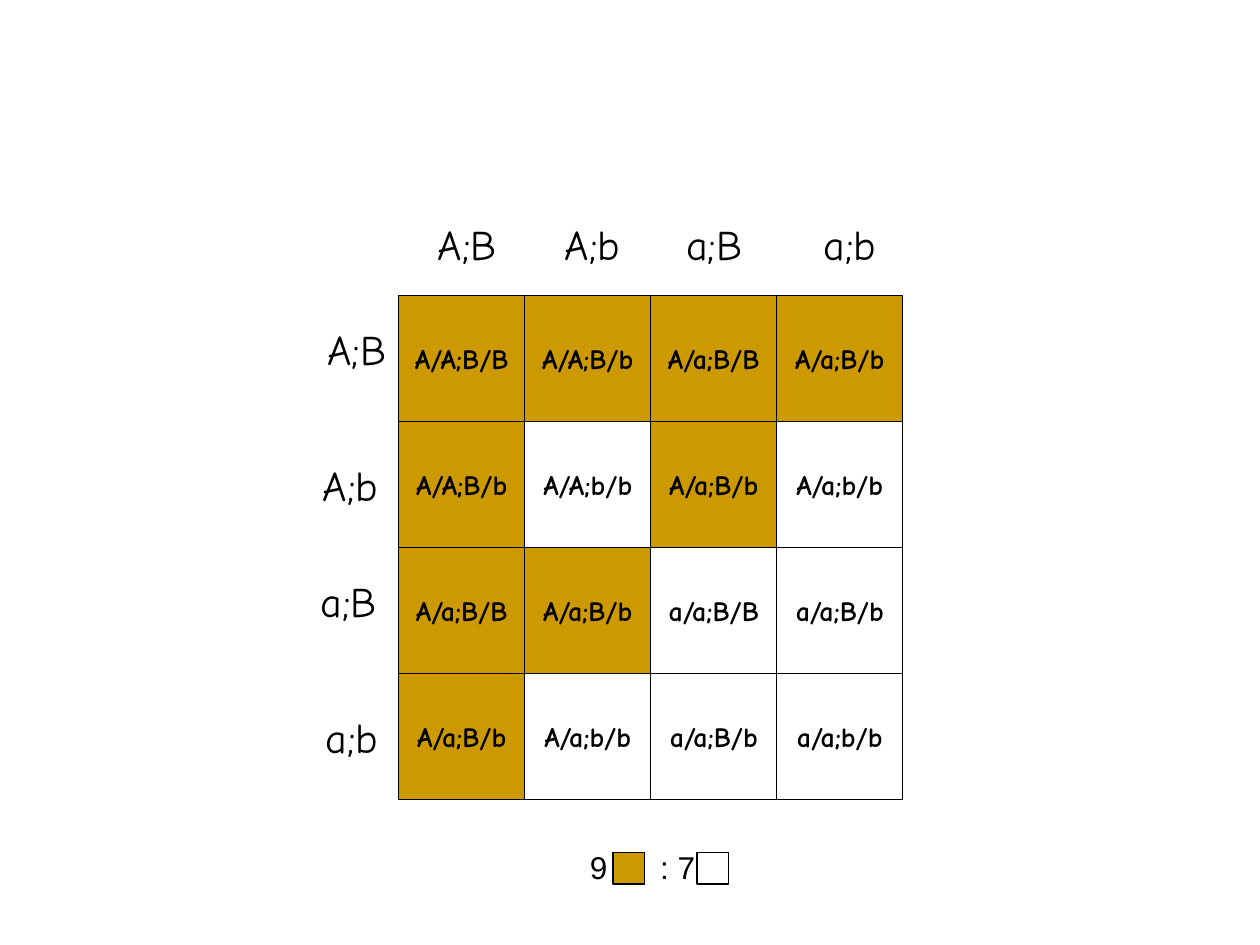
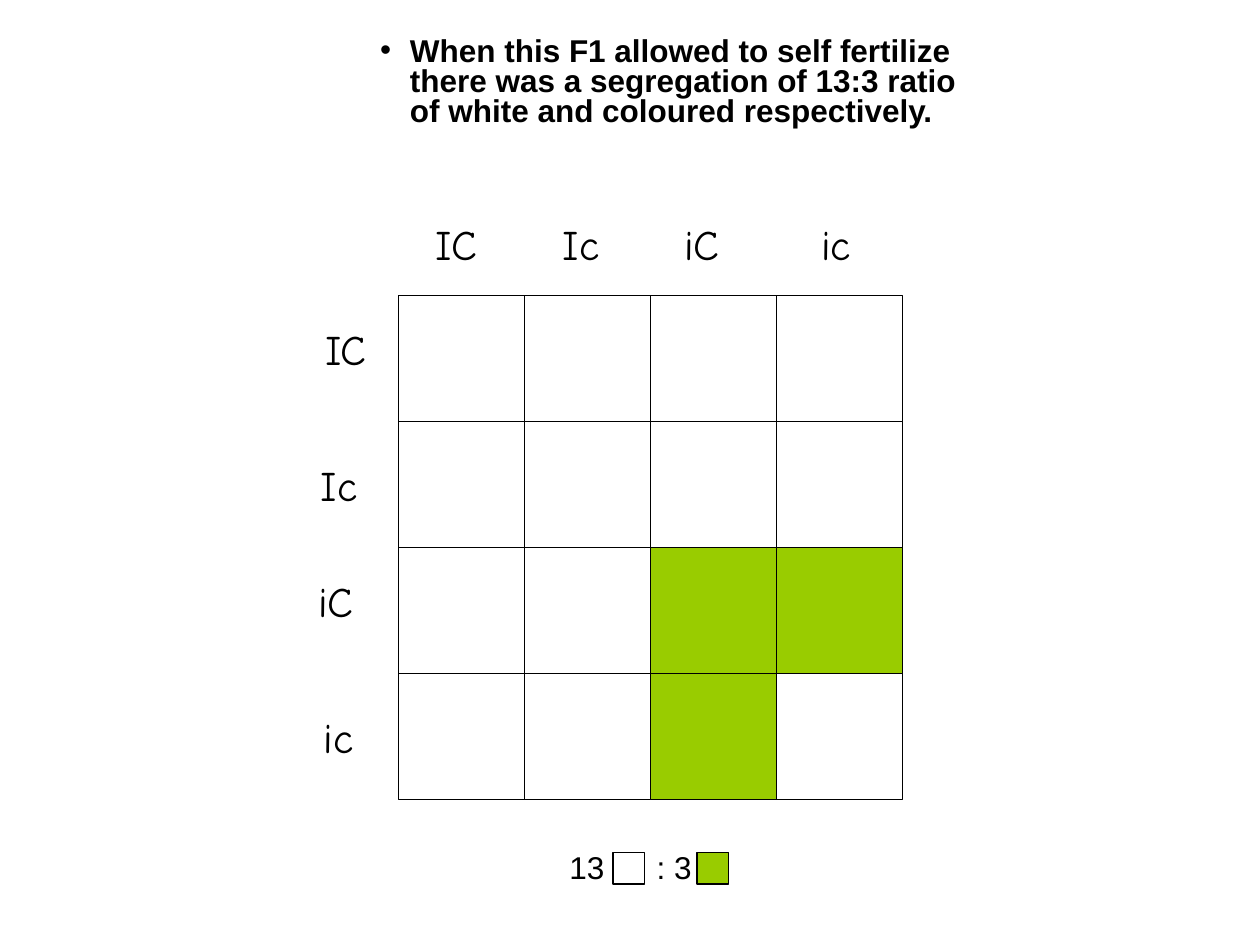
from lxml import etree
from pptx import Presentation
from pptx.dml.color import RGBColor
from pptx.enum.shapes import MSO_SHAPE
from pptx.enum.text import MSO_ANCHOR, MSO_AUTO_SIZE, PP_ALIGN
from pptx.oxml.ns import qn
from pptx.util import Cm, Pt

RECT = MSO_SHAPE.RECTANGLE
MIDDLE, TOP = MSO_ANCHOR.MIDDLE, MSO_ANCHOR.TOP
GROW = MSO_AUTO_SIZE.SHAPE_TO_FIT_TEXT
CENTER, LEFT = PP_ALIGN.CENTER, PP_ALIGN.LEFT

BLACK = RGBColor(0x00, 0x00, 0x00)
WHITE = RGBColor(0xFF, 0xFF, 0xFF)
GOLD = RGBColor(0xCC, 0x99, 0x00)
GREEN = RGBColor(0x99, 0xCC, 0x00)
HAND, SANS = "Comic Neue", "Arial"

# All lengths are in centimetres.
CELL = 2.54
GRID_X, GRID_Y = 8.04, 5.96
HEAD_X, HEAD_Y = (8.58, 11.14, 13.58, 16.35), 4.28
SIDE_X, SIDE_Y = (6.35, 6.26, 6.21, 6.32), (6.4, 9.14, 11.48, 14.22)
KEY_X, KEY_Y, KEY_SIZE = (12.36, 14.05), 17.18, 0.64

NOTE = ("When this F1 allowed to self fertilize there was a segregation "
        "of 13:3 ratio of white and coloured respectively.")


def style(para, font, size, bold=False, align=LEFT):
    para.alignment = align
    para.font.name = font
    para.font.size = Pt(size)
    para.font.bold = bold
    para.font.color.rgb = BLACK


def add_box(slide, x, y, size, fill):
    box = slide.shapes.add_shape(RECT, Cm(x), Cm(y), Cm(size), Cm(size))
    box.shadow.inherit = False
    box.fill.solid()
    box.fill.fore_color.rgb = fill
    box.line.color.rgb = BLACK
    box.line.width = Pt(0.75)
    return box


def add_cell(slide, row, col, fill, text):
    box = add_box(slide, GRID_X + col * CELL, GRID_Y + row * CELL, CELL, fill)
    if text:
        frame = box.text_frame
        frame.word_wrap = False
        frame.vertical_anchor = MIDDLE
        frame.text = text
        style(frame.paragraphs[0], HAND, 16, True, CENTER)


def add_label(slide, x, y, width, text):
    label = slide.shapes.add_textbox(Cm(x), Cm(y), Cm(width), Cm(1.27))
    frame = label.text_frame
    frame.word_wrap = False
    frame.auto_size = GROW
    frame.text = text
    style(frame.paragraphs[0], HAND, 24)


def cross(one, two):
    """Pair the alleles of two gametes, locus by locus, dominant first."""
    return ["/".join(sorted(pair)) for pair in zip(one, two) if pair[0] != ";"]


def add_square(slide, gametes, widths, shift, color, is_tinted, named):
    """Draw the Punnett square with its gametes along the top and the side."""
    for row, side in enumerate(gametes):
        for col, head in enumerate(gametes):
            pairs = cross(side, head)
            fill = color if is_tinted(*pairs) else WHITE
            add_cell(slide, row, col, fill, ";".join(pairs) if named else "")
    for x, width, name in zip(HEAD_X, widths, gametes):
        add_label(slide, x + shift, HEAD_Y, width, name)
    for x, y, width, name in zip(SIDE_X, SIDE_Y, widths, gametes):
        add_label(slide, x + shift, y, width, name)


def add_ratio(slide, x, width, tab, counts, fills):
    """Write the ratio, with a tab gap for the first key box."""
    ratio = slide.shapes.add_textbox(Cm(x), Cm(16.97), Cm(width), Cm(1.02))
    frame = ratio.text_frame
    frame.word_wrap = True
    frame.auto_size = GROW
    frame.text = "{}\t: {}".format(*counts)
    para = frame.paragraphs[0]
    style(para, SANS, 18)
    stops = etree.Element(qn("a:tabLst"))
    etree.SubElement(stops, qn("a:tab"), pos=str(Cm(tab)), algn="l")
    para._p.get_or_add_pPr().insert(0, stops)
    for left, fill in zip(KEY_X, fills):
        add_box(slide, left, KEY_Y, KEY_SIZE, fill)


def fill_note(body, text):
    body.left, body.top = Cm(7.41), Cm(0.64)
    body.width, body.height = Cm(12.7), Cm(3.1)
    frame = body.text_frame
    frame.word_wrap = True
    frame.auto_size = GROW
    frame.vertical_anchor = TOP
    frame.text = text
    para = frame.paragraphs[0]
    para.line_spacing = 0.8
    para.space_before = Pt(11.2)
    style(para, SANS, 18, True)
    props = para._p.get_or_add_pPr()
    props.set("marL", str(Cm(0.6)))
    props.set("indent", str(Cm(-0.6)))


def main():
    deck = Presentation()
    deck.slide_width, deck.slide_height = Cm(25.4), Cm(19.05)
    list_page, blank = deck.slide_layouts[1], deck.slide_layouts[6]

    slide = deck.slides.add_slide(blank)
    add_square(slide, ("A;B", "A;b", "a;B", "a;b"), (1.72, 1.66, 1.66, 1.6),
               0, GOLD, lambda a, b: "A" in a and "B" in b, named=True)
    add_ratio(slide, 11.64, 3.86, 1.42, (9, 7), (GOLD, WHITE))

    slide = deck.slides.add_slide(list_page)
    title = slide.shapes.title
    title.element.getparent().remove(title.element)
    fill_note(slide.placeholders[1], NOTE)
    add_square(slide, ("IC", "Ic", "iC", "ic"), (1.38, 1.28, 1.26, 1.16),
               -0.04, GREEN, lambda i, c: "I" not in i and "C" in c, named=False)
    add_ratio(slide, 11.23, 4.22, 1.76, (13, 3), (WHITE, GREEN))

    deck.save("out.pptx")


if __name__ == "__main__":
    main()
